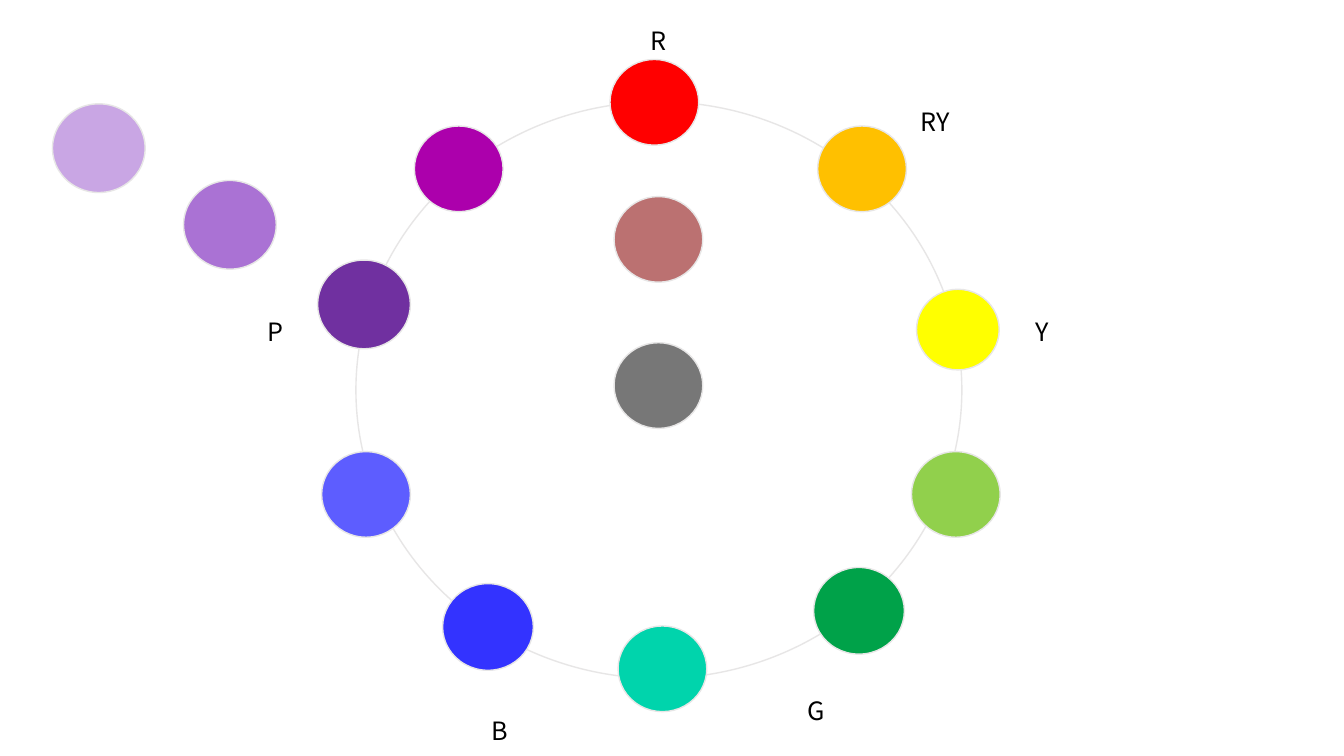
from pptx import Presentation
from pptx.dml.color import RGBColor
from pptx.enum.shapes import MSO_SHAPE as Shape
from pptx.enum.text import MSO_AUTO_SIZE as AutoSize
from pptx.util import Inches, Pt

FONT = "Noto Sans CJK JP"

COLORS = {
    "outline": "E7E6E6",
    "text": "000000",
    "red": "FF0000",
    "orange": "FFC000",
    "yellow": "FFFF00",
    "lime": "91D04C",
    "green": "00A249",
    "teal": "00D4AC",
    "blue": "3333FF",
    "periwinkle": "5D5DFF",
    "purple": "7030A0",
    "magenta": "AC00AC",
    "light purple": "AA72D4",
    "pale purple": "C9A6E4",
    "dull red": "BB7171",
    "gray": "777777",
}

# Swatch sizes: width, height
REGULAR = (0.88, 0.85)
WIDE = (0.9, 0.86)
LARGE = (0.92, 0.88)
SMALL = (0.82, 0.8)

# Hues clockwise round the wheel, then tints and dulled tones: color, left, top, size
SWATCHES = [
    ("red", 6.05, 0.59, REGULAR),
    ("orange", 8.11, 1.25, REGULAR),
    ("yellow", 9.09, 2.87, SMALL),
    ("lime", 9.04, 4.48, REGULAR),
    ("green", 8.07, 5.63, WIDE),
    ("teal", 6.13, 6.21, REGULAR),
    ("blue", 4.39, 5.79, WIDE),
    ("periwinkle", 3.19, 4.48, REGULAR),
    ("purple", 3.15, 2.58, LARGE),
    ("magenta", 4.11, 1.25, REGULAR),
    ("light purple", 1.82, 1.79, LARGE),
    ("pale purple", 0.52, 1.03, LARGE),
    ("dull red", 6.09, 1.95, REGULAR),
    ("gray", 6.09, 3.4, REGULAR),
]

# Hue labels: text, left, top, width
LABELS = [
    ("R", 6.35, 0.2, 0.37),
    ("RY", 9.03, 1.01, 0.53),
    ("Y", 10.17, 3.09, 0.36),
    ("G", 7.91, 6.85, 0.39),
    ("B", 4.78, 7.05, 0.37),
    ("P", 2.56, 3.09, 0.37),
]


def color(name):
    return RGBColor.from_string(COLORS[name])


def add_ellipse(page, left, top, width, height, fill=None):
    ellipse = page.shapes.add_shape(
        Shape.OVAL, Inches(left), Inches(top), Inches(width), Inches(height))
    ellipse.shadow.inherit = False
    ellipse.line.color.rgb = color("outline")
    ellipse.line.width = Pt(1)
    if fill:
        ellipse.fill.solid()
        ellipse.fill.fore_color.rgb = color(fill)
    else:
        ellipse.fill.background()


def add_label(page, text, left, top, width):
    box = page.shapes.add_textbox(
        Inches(left), Inches(top), Inches(width), Inches(0.4))
    frame = box.text_frame
    frame.word_wrap = False
    frame.auto_size = AutoSize.SHAPE_TO_FIT_TEXT
    span = frame.paragraphs[0].add_run()
    span.text = text
    span.font.name = FONT
    span.font.size = Pt(18)
    span.font.color.rgb = color("text")


def main():
    deck = Presentation()
    deck.slide_width, deck.slide_height = Inches(13.33), Inches(7.5)
    page = deck.slides.add_slide(deck.slide_layouts[6])

    # Wheel ring
    add_ellipse(page, 3.53, 1.01, 6.01, 5.72)

    # Color swatches
    for fill, left, top, size in SWATCHES:
        add_ellipse(page, left, top, *size, fill)

    # Hue labels
    for label in LABELS:
        add_label(page, *label)

    deck.save("out.pptx")


if __name__ == "__main__":
    main()
